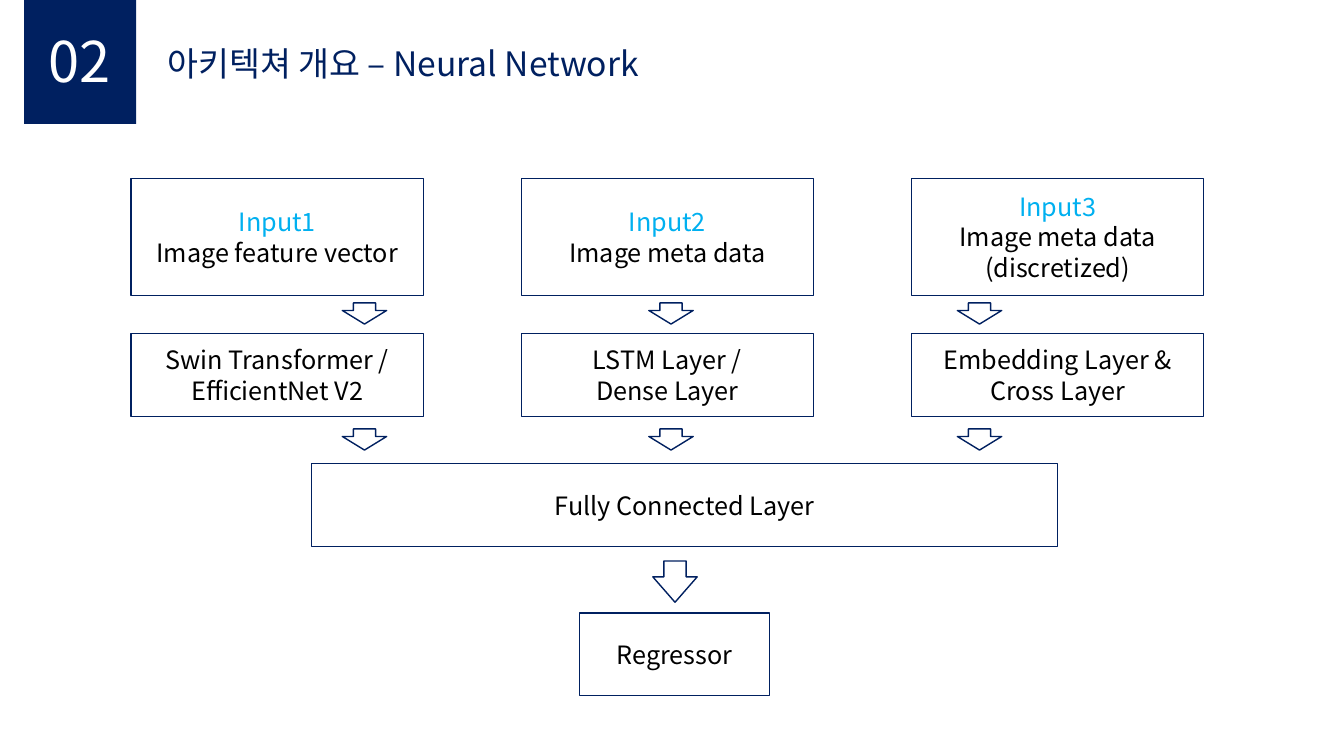
import dataclasses

import pptx
import pptx.dml.color
import pptx.enum.shapes
import pptx.enum.text
import pptx.util
from lxml import etree

Inches = pptx.util.Inches
Anchor = pptx.enum.text.MSO_ANCHOR
Align = pptx.enum.text.PP_ALIGN
Preset = pptx.enum.shapes.MSO_SHAPE

TITLE = "아키텍쳐 개요 – Neural Network"
SECTION_NUMBER = "02"
BRANCHES = [
    ("Input1", ["Image feature vector"], ["Swin Transformer / EfficientNet V2"]),
    ("Input2", ["Image meta data"], ["LSTM Layer /", "Dense Layer"]),
    ("Input3", ["Image meta data", "(discretized)"], ["Embedding Layer &", "Cross Layer"]),
]
SHARED_STEPS = [
    ("Fully Connected Layer", (3.09, 4.6, 7.4, 0.82)),
    ("Regressor", (5.75, 6.08, 1.88, 0.82)),
]
BRANCH_LEFT, BRANCH_PITCH, BRANCH_WIDTH = 1.3, 3.87, 2.9
INPUT_TOP, INPUT_HEIGHT = 1.77, 1.16
LAYER_TOP, LAYER_HEIGHT = 3.31, 0.82
ARROW_LEFTS = [3.51, 6.55, 9.61]
ARROW_TOPS = [2.89, 4.14]


@dataclasses.dataclass(frozen=True)
class Theme:
    """Colours, font and type sizes of the slide."""

    navy: str = "002060"
    accent: str = "00B0F0"
    black: str = "000000"
    white: str = "FFFFFF"
    font: str = "Noto Sans CJK KR"
    body: int = 18
    title: int = 24
    number: int = 40


THEME = Theme()


def rgb(color):
    """Turn a hex string into a colour."""
    return pptx.dml.color.RGBColor.from_string(color)


def write_text(shape, lines, colors=(THEME.black,), size=THEME.body,
               align=Align.CENTER, anchor=Anchor.MIDDLE):
    """Write lines into a shape; the last colour serves all remaining lines."""
    frame = shape.text_frame
    frame.word_wrap = True
    frame.auto_size = pptx.enum.text.MSO_AUTO_SIZE.NONE
    frame.vertical_anchor = anchor
    for index, line in enumerate(lines):
        paragraph = frame.add_paragraph() if index else frame.paragraphs[0]
        paragraph.alignment = align
        paragraph.line_spacing = pptx.util.Pt(size * 1.2)
        run = paragraph.add_run()
        run.text = line
        run.font.size = pptx.util.Pt(size)
        run.font.name = THEME.font
        run.font.color.rgb = rgb(colors[min(index, len(colors) - 1)])
        properties = run.font._element
        east_asian = etree.SubElement(properties, pptx.oxml.ns.qn("a:ea"))
        east_asian.set("typeface", THEME.font)


def add_outline(slide, preset, bounds):
    """Add an unfilled shape with a navy outline."""
    shape = slide.shapes.add_shape(preset, *map(Inches, bounds))
    shape.shadow.inherit = False
    shape.fill.background()
    shape.line.color.rgb = rgb(THEME.navy)
    shape.line.width = pptx.util.Pt(1)
    return shape


def add_box(slide, bounds, lines, **text_format):
    """Add an outlined box with centred text."""
    write_text(add_outline(slide, Preset.RECTANGLE, bounds), lines, **text_format)


def add_arrow(slide, left, top, length, head):
    """Add a block arrow that points down."""
    arrow = add_outline(slide, Preset.RIGHT_ARROW, (left, top, length, 0.44))
    arrow.rotation = 90
    arrow.adjustments[0] = 0.5
    arrow.adjustments[1] = head


def add_header(slide):
    """Place the title and the section number."""
    title = slide.shapes.title
    title.left, title.top, title.width, title.height = map(Inches, (1.56, 0.38, 5.27, 0.5))
    write_text(title, [TITLE], colors=(THEME.navy,), size=THEME.title,
               align=Align.LEFT, anchor=Anchor.TOP)
    block = slide.shapes.add_shape(Preset.RECTANGLE, *map(Inches, (0.24, 0, 1.11, 1.23)))
    block.shadow.inherit = False
    block.fill.solid()
    block.fill.fore_color.rgb = rgb(THEME.navy)
    block.line.fill.background()
    number = slide.shapes.add_textbox(*map(Inches, (0.38, 0.21, 0.96, 0.77)))
    write_text(number, [SECTION_NUMBER], colors=(THEME.white,), size=THEME.number,
               align=Align.LEFT, anchor=Anchor.TOP)


def main():
    """Build the network overview slide."""
    presentation = pptx.Presentation()
    presentation.slide_width = Inches(13.33)
    presentation.slide_height = Inches(7.5)
    slide = presentation.slides.add_slide(presentation.slide_layouts[5])
    add_header(slide)
    for index, (name, details, layers) in enumerate(BRANCHES):
        left = BRANCH_LEFT + index * BRANCH_PITCH
        add_box(slide, (left, INPUT_TOP, BRANCH_WIDTH, INPUT_HEIGHT),
                [name, *details], colors=(THEME.accent, THEME.black))
        add_box(slide, (left, LAYER_TOP, BRANCH_WIDTH, LAYER_HEIGHT), layers)
        for top in ARROW_TOPS:
            add_arrow(slide, ARROW_LEFTS[index], top, 0.21, 0.643)
    for text, bounds in SHARED_STEPS:
        add_box(slide, bounds, [text])
    add_arrow(slide, 6.49, 5.55, 0.41, 0.614)
    presentation.save("out.pptx")


if __name__ == "__main__":
    main()
